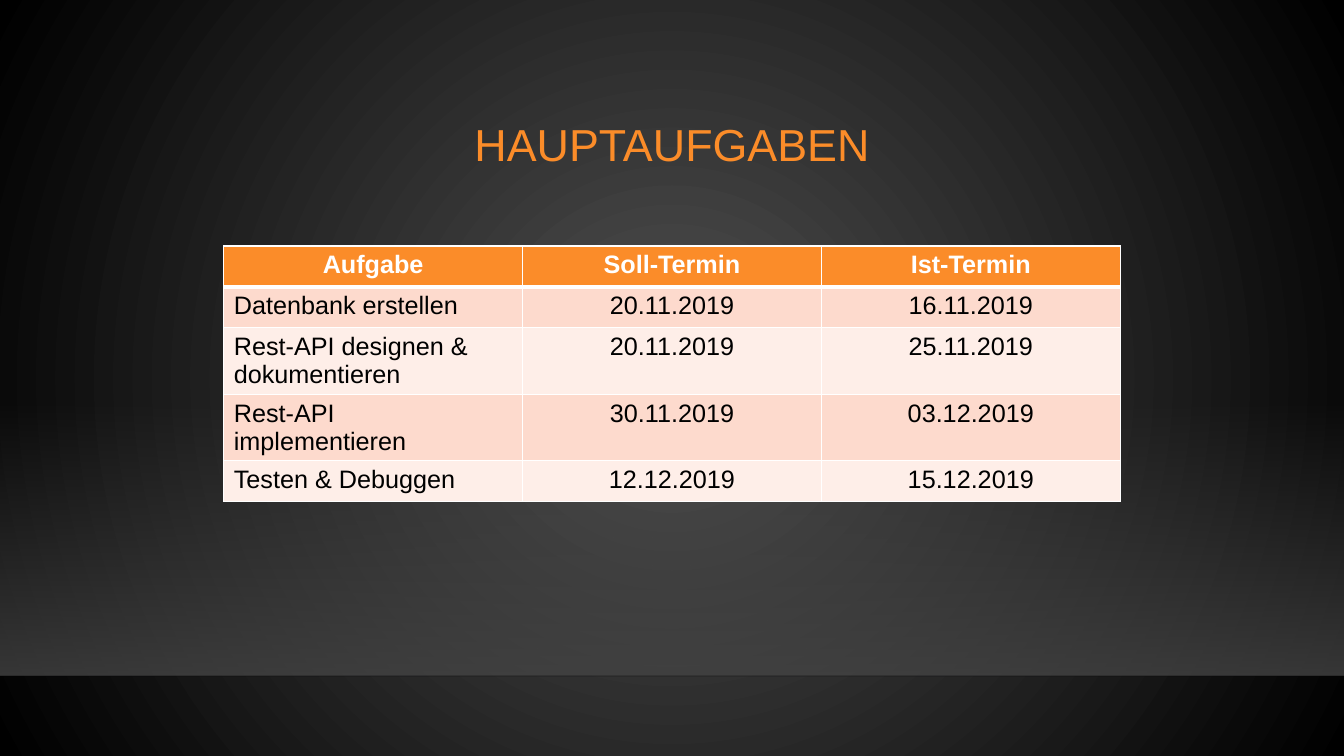
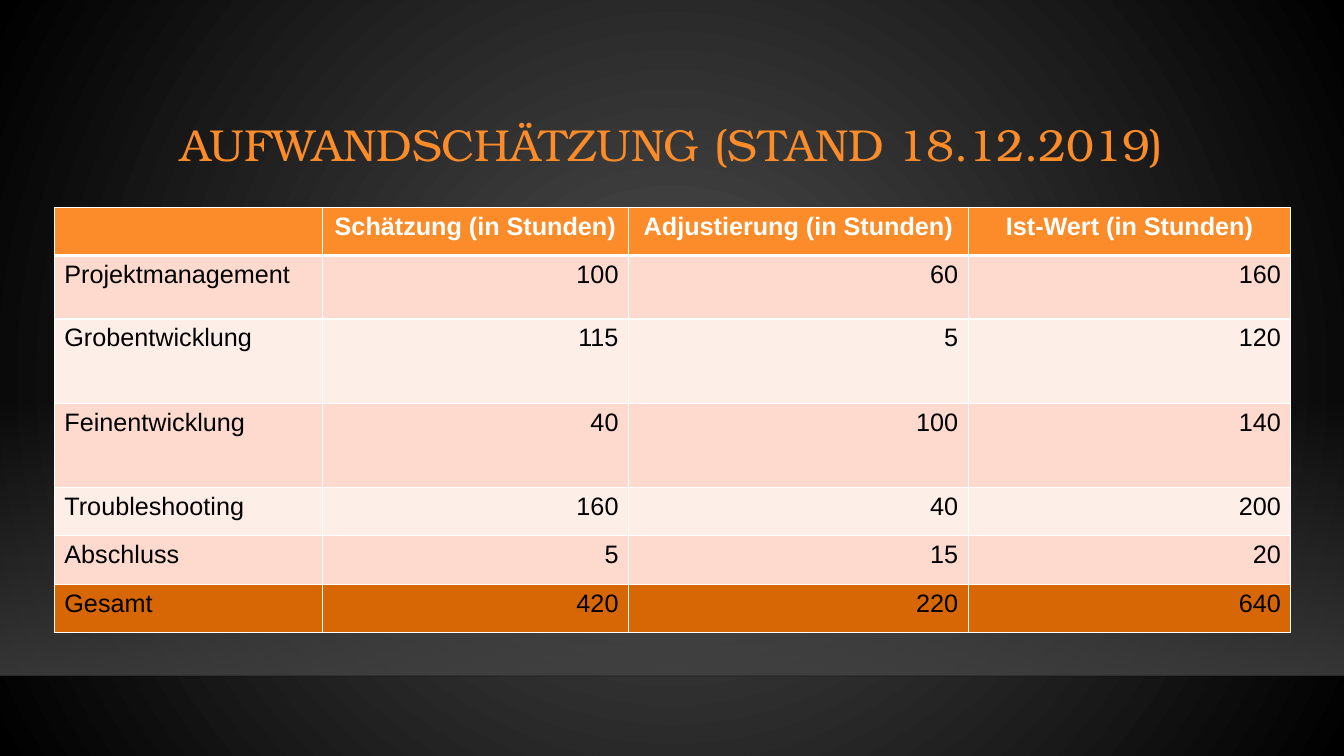
from lxml import etree
from pptx import Presentation
from pptx.dml.color import RGBColor
from pptx.enum.shapes import MSO_CONNECTOR, MSO_SHAPE
from pptx.enum.text import MSO_ANCHOR, PP_ALIGN
from pptx.oxml import parse_xml
from pptx.oxml.ns import nsdecls, qn
from pptx.util import Cm, Pt

LEFT, CENTER, RIGHT = PP_ALIGN.LEFT, PP_ALIGN.CENTER, PP_ALIGN.RIGHT
MIDDLE = MSO_ANCHOR.MIDDLE
RECT = MSO_SHAPE.RECTANGLE
STRAIGHT = MSO_CONNECTOR.STRAIGHT

ORANGE = RGBColor(0xFB, 0x8C, 0x29)
RUST = RGBColor(0xD7, 0x67, 0x04)
PEACH = RGBColor(0xFD, 0xDA, 0xCD)
CREAM = RGBColor(0xFE, 0xEE, 0xE8)
WHITE = RGBColor(0xFF, 0xFF, 0xFF)
BLACK = RGBColor(0x00, 0x00, 0x00)
INK = RGBColor(0x00, 0x00, 0x01)
STONE = RGBColor(0x45, 0x45, 0x45)
GREY = RGBColor(0x50, 0x50, 0x50)

WIDTH, HEIGHT = Cm(33.87), Cm(19.05)
TITLE_BOX = {"left": Cm(4.04), "top": Cm(2.24), "width": Cm(25.8), "height": Cm(2.92)}
FLOOR_BOX = (Cm(0), Cm(10.06), WIDTH, Cm(6.97))

TITLE = {"size": Pt(32), "bold": False, "color": ORANGE}
HEAD = {"name": "Arial", "size": Pt(18), "bold": True, "color": WHITE}
BODY = {**HEAD, "bold": False, "color": BLACK}

RADIAL = ('<a:path path="circle"><a:fillToRect l="50000" t="50000" '
          'r="50000" b="50000"/></a:path>')
DOWN = '<a:lin ang="5400000" scaled="0"/>'

TASKS = [
    ("Aufgabe", "Soll-Termin", "Ist-Termin"),
    ("Datenbank erstellen", "20.11.2019", "16.11.2019"),
    ("Rest-API designen & dokumentieren", "20.11.2019", "25.11.2019"),
    ("Rest-API implementieren", "30.11.2019", "03.12.2019"),
    ("Testen & Debuggen", "12.12.2019", "15.12.2019"),
]
HOURS = [
    ("", "Schätzung (in Stunden)", "Adjustierung (in Stunden)", "Ist-Wert (in Stunden)"),
    ("Projektmanagement", "100", "60", "160"),
    ("Grobentwicklung", "115", "5", "120"),
    ("Feinentwicklung", "40", "100", "140"),
    ("Troubleshooting", "160", "40", "200"),
    ("Abschluss", "5", "15", "20"),
    ("Gesamt", "420", "220", "640"),
]


def style(font, look):
    for key, value in look.items():
        if key == "color":
            font.color.rgb = value
        else:
            setattr(font, key, value)


def blend(solid, first, last, course):
    stops = "".join(
        f'<a:gs pos="{place}"><a:srgbClr val="{color}">'
        f'<a:alpha val="{alpha * 1000}"/></a:srgbClr></a:gs>'
        for place, (color, alpha) in ((0, first), (100000, last)))
    fill = parse_xml(f'<a:gradFill {nsdecls("a")} rotWithShape="1">'
                     f'<a:gsLst>{stops}</a:gsLst>{course}</a:gradFill>')
    solid.getparent().replace(solid, fill)


def add_stage(master, slide, box):
    master.background.fill.solid()
    blend(master.element.xpath(".//p:bgPr/a:solidFill")[0],
          (GREY, 100), (BLACK, 100), RADIAL)

    left, top, width, height = box
    floor = slide.shapes.add_shape(RECT, left, top, width, height)
    floor.shadow.inherit = False
    floor.line.fill.background()
    floor.fill.solid()
    blend(floor.element.xpath("./p:spPr/a:solidFill")[0],
          (STONE, 0), (STONE, 80), DOWN)

    base = top + height
    edge = slide.shapes.add_connector(STRAIGHT, left, base, left + width, base)
    edge.line.width = Pt(1)
    edge.line.color.rgb = INK
    tint = edge.element.xpath(".//a:ln/a:solidFill/a:srgbClr")[0]
    etree.SubElement(tint, qn("a:alpha"), val="20000")
    etree.SubElement(edge.element.spPr, qn("a:effectLst"))

    for step, part in enumerate((floor, edge)):
        part.element.xpath("./*/p:cNvPr")[0].set("id", str(100 + step))
        master.shapes.element.insert(2 + step, part.element)


def add_title(slide, text, face):
    title = slide.shapes.title
    for key, value in TITLE_BOX.items():
        setattr(title, key, value)
    frame = title.text_frame
    frame.text = text
    frame.word_wrap = True
    frame.vertical_anchor = MIDDLE
    line = frame.paragraphs[0]
    line.alignment = CENTER
    line.line_spacing = 0.9
    style(line.runs[0].font, {**TITLE, "name": face})


def add_rules(cell, row):
    widths = {"lnL": 1, "lnR": 1, "lnT": 3 if row == 1 else 1, "lnB": 3 if row == 0 else 1}
    for side, width in widths.items():
        cell._tc.get_or_add_tcPr().append(parse_xml(
            f'<a:{side} {nsdecls("a")} w="{Pt(width)}"><a:solidFill>'
            f'<a:srgbClr val="{WHITE}"/></a:solidFill></a:{side}>'))


def add_grid(slide, data, left, top, wide, tall, align, total=False):
    grid = slide.shapes.add_table(len(data), len(wide), left, top,
                                  sum(wide), sum(tall)).table
    for col, width in zip(grid.columns, wide):
        col.width = width
    for row, height in zip(grid.rows, tall):
        row.height = height
    fills = [ORANGE] + [PEACH if row % 2 else CREAM for row in range(1, len(data))]
    if total:
        fills[-1] = RUST
    for row, texts in enumerate(data):
        for col, text in enumerate(texts):
            cell = grid.cell(row, col)
            add_rules(cell, row)
            cell.fill.solid()
            cell.fill.fore_color.rgb = fills[row]
            cell.text = text
            line = cell.text_frame.paragraphs[0]
            line.alignment = CENTER if row == 0 else align if col else LEFT
            style(line.font, BODY if row else HEAD)


def main():
    deck = Presentation()
    deck.slide_width, deck.slide_height = WIDTH, HEIGHT
    plain = deck.slide_layouts[5]

    dates = deck.slides.add_slide(plain)
    add_stage(deck.slide_master, dates, FLOOR_BOX)
    add_title(dates, "HAUPTAUFGABEN", "Arial")
    add_grid(dates, TASKS, Cm(5.64), Cm(6.2), [Cm(7.53)] * 3,
             [Cm(1.03)] * len(TASKS), CENTER)

    effort = deck.slides.add_slide(plain)
    add_title(effort, "AUFWANDSCHÄTZUNG (STAND 18.12.2019)", "TeX Gyre Bonum")
    add_grid(effort, HOURS, Cm(1.37), Cm(5.22),
             [Cm(size) for size in (6.75, 7.72, 8.56, 8.13)],
             [Cm(size) for size in (1.22, 1.6, 2.12, 2.12, 1.22, 1.22, 1.22)],
             RIGHT, total=True)

    deck.save("out.pptx")


if __name__ == "__main__":
    main()
